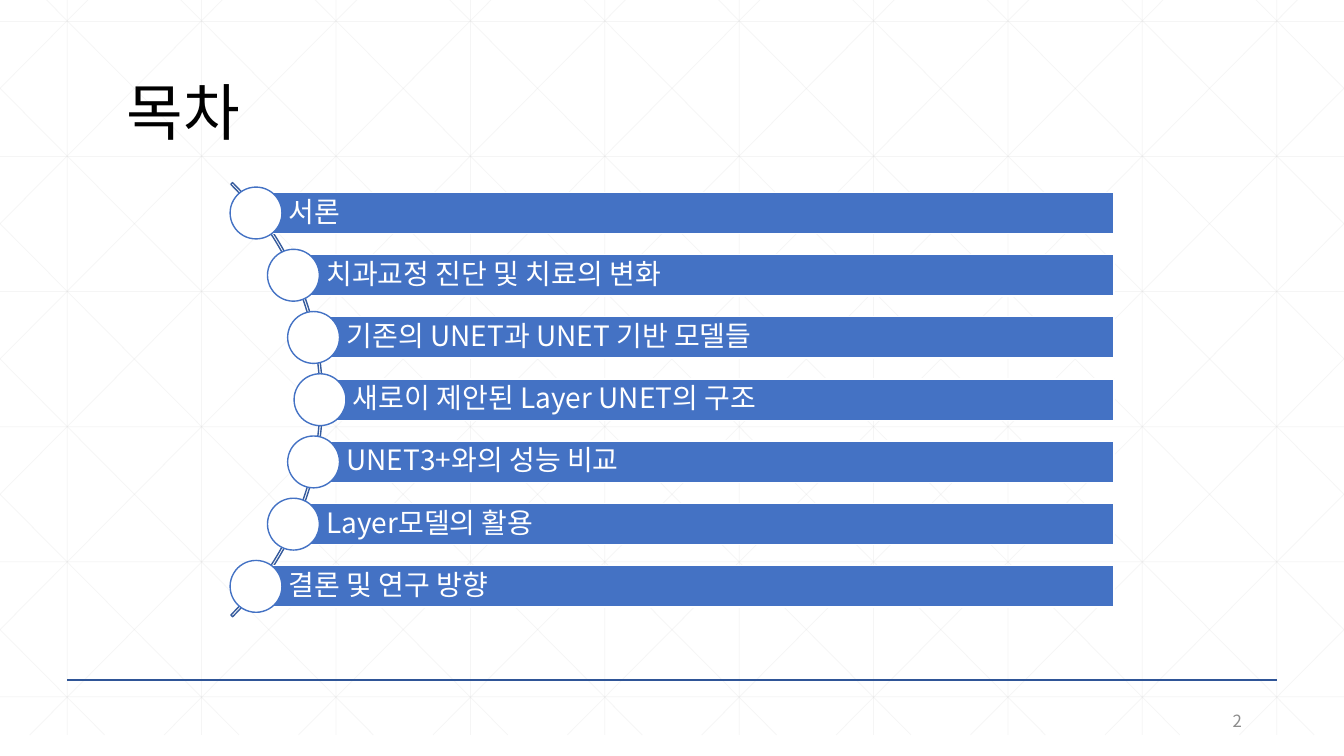
from dataclasses import dataclass
from math import sqrt

from lxml import etree
from pptx import Presentation
from pptx import util as u
from pptx.dml import color
from pptx.enum import shapes, text
from pptx.oxml import ns


@dataclass(frozen=True)
class Theme:
    face: str = "Noto Sans CJK KR"
    black: str = "000000"
    white: str = "FFFFFF"
    blue: str = "4472C4"
    navy: str = "2F5597"
    arc: str = "365B9D"
    mesh: str = "D9D9D9"
    gray: str = "8C8C8C"
    head: int = 44
    body: int = 20
    foot: int = 12


@dataclass(frozen=True)
class Box:
    left: float
    top: float
    wide: float
    high: float


@dataclass(frozen=True)
class Topic:
    label: str
    step: int  # rows away from the middle of the arc


THEME = Theme()

# Square grid: the slide is 100 columns wide
COLS = 100
UNIT = u.Inches(13.333) / COLS

# Agenda arc, in columns
MID_X, MID_Y, REACH = 1.16, 29.74, 22.65
RIM = 22.84
PITCH = 4.63
DOT, BAR = 3.86, 3.09
RIGHT = 82.9

LABELS = [
    "서론",
    "치과교정 진단 및 치료의 변화",
    "기존의 UNET과 UNET 기반 모델들",
    "새로이 제안된 Layer UNET의 구조",
    "UNET3+와의 성능 비교",
    "Layer모델의 활용",
    "결론 및 연구 방향",
]
TOPICS = [Topic(label, i - len(LABELS) // 2) for i, label in enumerate(LABELS)]

deck = Presentation()
deck.slide_width, deck.slide_height = u.Inches(13.333), u.Inches(7.5)
slide = deck.slides.add_slide(deck.slide_layouts[6])


def span(cells: float) -> u.Emu:
    return u.Emu(round(cells * UNIT))


def place(box: Box) -> list[u.Emu]:
    return [span(v) for v in (box.left, box.top, box.wide, box.high)]


def paint(hue: str) -> color.RGBColor:
    return color.RGBColor.from_string(hue)


def rule(x1: float, y1: float, x2: float, y2: float, hue: str,
         size: float = 1, alpha: int = 100) -> None:
    line = slide.shapes.add_connector(
        shapes.MSO_CONNECTOR.STRAIGHT, span(x1), span(y1), span(x2), span(y2))
    line.line.color.rgb = paint(hue)
    line.line.width = u.Pt(size)
    props = line._element.spPr
    etree.SubElement(props, ns.qn("a:effectLst"))
    if alpha < 100:
        tint = props.find(".//" + ns.qn("a:srgbClr"))
        etree.SubElement(tint, ns.qn("a:alpha"), val=str(alpha * 1000))


def form(kind: shapes.MSO_SHAPE, box: Box, fill: str | None, edge: str):
    item = slide.shapes.add_shape(kind, *place(box))
    item.shadow.inherit = False
    if fill is None:
        item.fill.background()
    else:
        item.fill.solid()
        item.fill.fore_color.rgb = paint(fill)
    item.line.color.rgb = paint(edge)
    item.line.width = u.Pt(1)
    return item


def write(item, words: str, *, size: int, hue: str, lead: float = 1,
          align=text.PP_ALIGN.LEFT, inset: tuple[float, ...] | None = None) -> None:
    frame = item.text_frame
    frame.word_wrap = True
    frame.vertical_anchor = text.MSO_ANCHOR.MIDDLE
    if inset:
        (frame.margin_left, frame.margin_top,
         frame.margin_right, frame.margin_bottom) = map(span, inset)
    para = frame.paragraphs[0]
    para.alignment = align
    para.line_spacing = lead
    run = para.add_run()
    run.text = words
    run.font.size = u.Pt(size)
    run.font.color.rgb = paint(hue)
    run.font.name = THEME.face
    etree.SubElement(run.font._element, ns.qn("a:ea"), typeface=THEME.face)


def label(box: Box, words: str, **style) -> None:
    write(slide.shapes.add_textbox(*place(box)), words, **style)


def mesh() -> None:
    top, base, run = -1.6, 54.68, 55.9
    slope = (base - top) / run
    faint = dict(hue=THEME.mesh, size=0.5, alpha=25)
    for i in range(10):
        rule(5 + 10 * i, top, 5 + 10 * i, base, **faint)
    for j in range(6):
        y = 1.6 + 10.05 * j
        rule(0, y, COLS, y, **faint)
    # Diagonals cut at the slide's sides, then mirrored
    for i in range(-5, 10):
        start = 1.88 + 10 * i
        x1, x2 = max(start, 0), min(start + run, COLS)
        y1, y2 = (top + (x - start) * slope for x in (x1, x2))
        rule(x1, y1, x2, y2, **faint)
        rule(COLS - x1, y1, COLS - x2, y2, **faint)


def entry(topic: Topic) -> None:
    y = MID_Y + topic.step * PITCH
    x = MID_X + sqrt(REACH ** 2 - (topic.step * PITCH) ** 2)
    bar = form(shapes.MSO_SHAPE.RECTANGLE,
               Box(x, y - BAR / 2, RIGHT - x, BAR), THEME.blue, THEME.white)
    write(bar, topic.label, size=THEME.body, hue=THEME.white, lead=0.9,
          inset=(2.45, 0.45, 0.45, 0.45))
    form(shapes.MSO_SHAPE.OVAL,
         Box(x - DOT / 2, y - DOT / 2, DOT, DOT), THEME.white, THEME.blue)


def main() -> None:
    # Background lattice and footer rule
    mesh()
    rule(5, 50.6, 95, 50.6, THEME.navy)

    # Agenda: arc, then bars with dots
    arc = form(shapes.MSO_SHAPE.BLOCK_ARC,
               Box(MID_X - RIM, MID_Y - RIM, 2 * RIM, 2 * RIM), None, THEME.arc)
    for i, value in enumerate((189, 27, 0.004)):
        arc.adjustments[i] = value
    for topic in TOPICS:
        entry(topic)

    # Title and slide number
    label(Box(8.7, 5.4, 78.75, 6.38), "목차",
          size=THEME.head, hue=THEME.black, lead=0.9)
    label(Box(70.65, 52.1, 22.5, 3), "2", size=THEME.foot, hue=THEME.gray,
          align=text.PP_ALIGN.RIGHT)

    deck.save("out.pptx")


if __name__ == "__main__":
    main()
